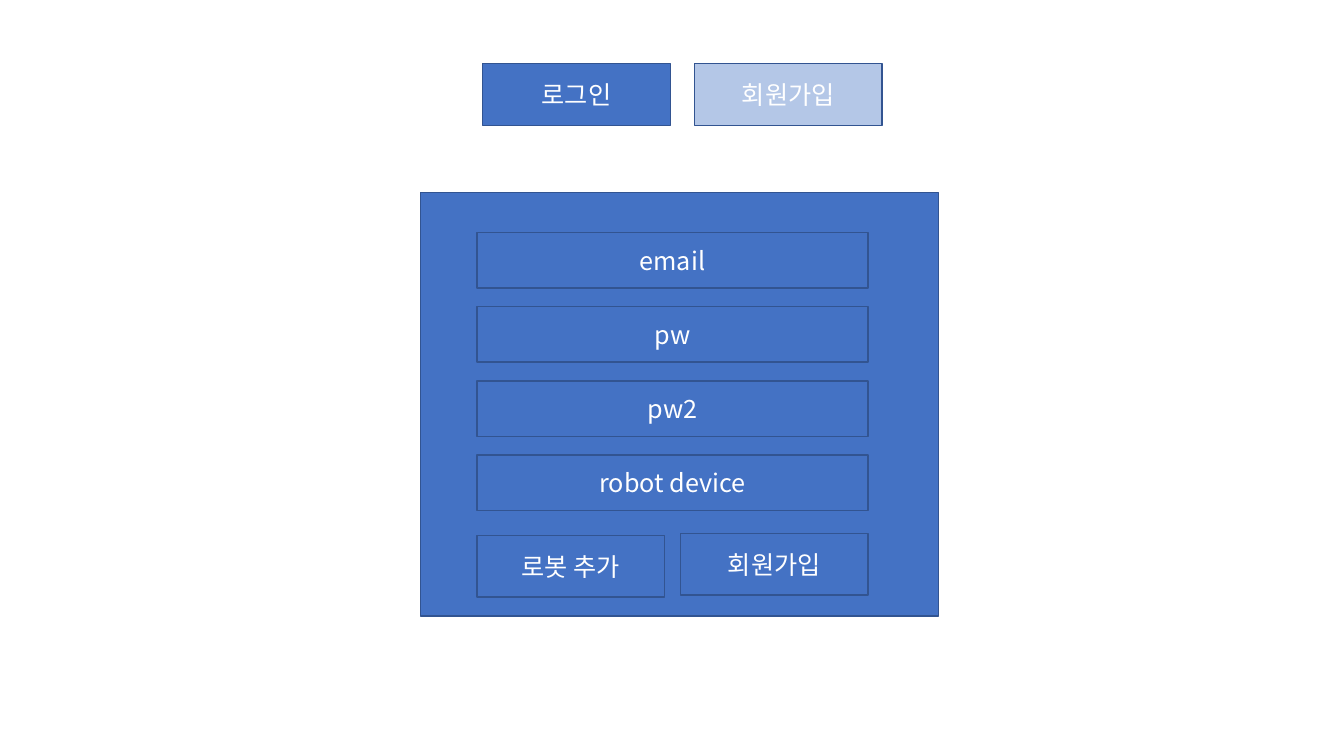
from dataclasses import dataclass

from lxml.etree import SubElement
from pptx import Presentation
from pptx.dml.color import RGBColor
from pptx.enum.shapes import MSO_SHAPE
from pptx.enum.text import MSO_ANCHOR, PP_ALIGN
from pptx.oxml.ns import qn
from pptx.util import Pt


@dataclass(frozen=True)
class Theme:
    font: str = "Noto Sans CJK KR"
    size: float = 18
    line_width: float = 1
    fill: str = "4472C4"
    inactive: str = "B4C7E7"
    line: str = "325491"
    text: str = "FFFFFF"


class Wireframe:
    """Draws the elements of a form on one slide."""

    BUTTON = (133.9, 44.1)
    FIELD = (279.4, 39.6)

    def __init__(self, slide, theme):
        self.slide = slide
        self.theme = theme

    def box(self, left, top, width, height, fill=None):
        sp = self.slide.shapes.add_shape(
            MSO_SHAPE.RECTANGLE, Pt(left), Pt(top), Pt(width), Pt(height))
        sp.shadow.inherit = False
        sp.fill.solid()
        sp.fill.fore_color.rgb = RGBColor.from_string(fill or self.theme.fill)
        sp.line.color.rgb = RGBColor.from_string(self.theme.line)
        sp.line.width = Pt(self.theme.line_width)
        return sp

    def label(self, sp, text):
        tf = sp.text_frame
        tf.text = text
        tf.word_wrap = True
        tf.vertical_anchor = MSO_ANCHOR.MIDDLE
        p = tf.paragraphs[0]
        p.alignment = PP_ALIGN.CENTER
        font = p.runs[0].font
        font.size = Pt(self.theme.size)
        font.color.rgb = RGBColor.from_string(self.theme.text)
        font.name = self.theme.font
        # Hangul takes the East Asian typeface
        SubElement(font._element, qn("a:ea"), typeface=self.theme.font)

    def button(self, text, left, top, fill=None):
        self.label(self.box(left, top, *self.BUTTON, fill), text)

    def field(self, text, left, top):
        self.label(self.box(left, top, *self.FIELD), text)


def main():
    prs = Presentation()
    prs.slide_width, prs.slide_height = Pt(960), Pt(540)
    s = prs.slides.add_slide(prs.slide_layouts[6])
    theme = Theme()
    form = Wireframe(s, theme)

    # Tabs
    form.button("로그인", 344.9, 45.4)
    form.button("회원가입", 496.1, 45.4, theme.inactive)

    # Panel with its input fields
    form.box(300.2, 137.4, 370.1, 302.6)
    field_left, field_top, pitch = 340.6, 166.2, 52.9
    for i, name in enumerate(["email", "pw", "pw2", "robot device"]):
        form.field(name, field_left, field_top + i * pitch)

    # Actions, aligned with both edges of the fields
    form.button("로봇 추가", field_left, 382.4)
    form.button("회원가입", field_left + form.FIELD[0] - form.BUTTON[0], 380.9)

    prs.save("out.pptx")


if __name__ == "__main__":
    main()
